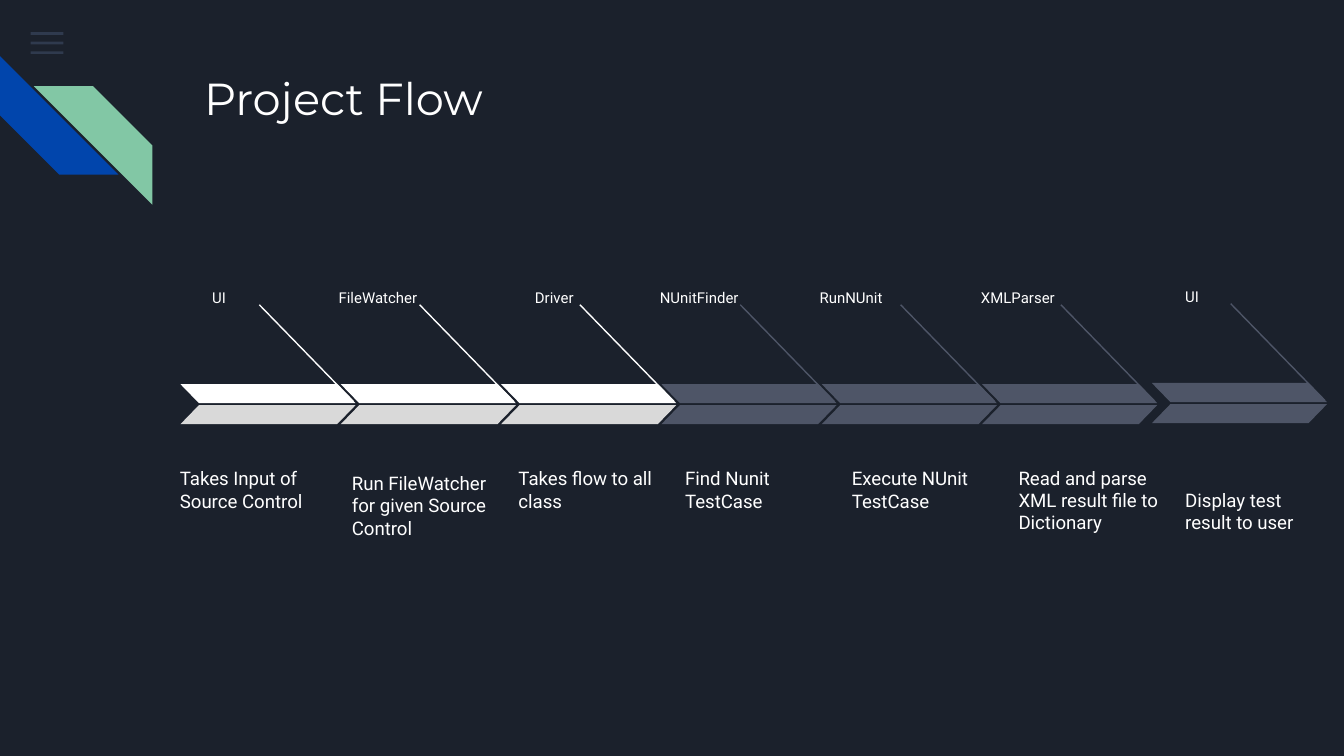
from lxml.etree import SubElement
from pptx import Presentation
from pptx.dml.color import RGBColor
from pptx.enum.shapes import MSO_CONNECTOR, MSO_SHAPE
from pptx.enum.text import MSO_ANCHOR
from pptx.oxml.ns import qn
from pptx.util import Cm, Pt

# Content: label, label left, label width, note, note width, note top, note height
STEPS = [
    ("UI", 3.76, 1.5, "Takes Input of Source Control", 3.25, 8.81, 1.12),
    ("FileWatcher", 6.15, 2.16, "Run FileWatcher for given Source Control", 3.15, 8.81, 1.63),
    ("Driver", 9.86, 1.5, "Takes flow to all class", 3.15, 8.81, 1.12),
    ("NUnitFinder", 12.22, 2.16, "Find Nunit TestCase", 3.15, 8.81, 1.12),
    ("RunNUnit", 15.24, 2.16, "Execute NUnit TestCase", 3.15, 8.81, 1.12),
    ("XMLParser", 18.29, 2.16, "Read and parse XML result file to Dictionary", 3.15, 9.22, 1.12),
    ("UI", 22.15, 1.5, "Display test result to user", 3.15, 9.22, 1.12),
]
WHITE, PALE, SLATE = "FFFFFF", "D9D9D9", "4E5567"
DONE = 3  # steps shown in white
LEFT, PITCH, LAST = 3.41, 3.03, 21.77  # arrow places
WIDE, TALL = 3.31, 0.36  # size of an arrow half

deck = Presentation()
deck.slide_width, deck.slide_height = Cm(25.4), Cm(14.29)
slide = deck.slides.add_slide(deck.slide_layouts[6])


def paint(fill, color):
    fill.solid()
    fill.fore_color.rgb = RGBColor.from_string(color)


def shape(kind, x, y, w, h, color, adj=None, flip=False):
    item = slide.shapes.add_shape(kind, Cm(x), Cm(y), Cm(w), Cm(h))
    item.shadow.inherit = False
    paint(item.fill, color)
    item.line.fill.background()
    if adj is not None:
        item.adjustments[0] = adj
    if flip:
        item._element.spPr.find(qn("a:xfrm")).set("flipH", "1")
    return item


def text(words, x, y, w, h, size, font="Roboto", anchor=MSO_ANCHOR.TOP):
    frame = slide.shapes.add_textbox(Cm(x), Cm(y), Cm(w), Cm(h)).text_frame
    frame.word_wrap = True
    frame.vertical_anchor = anchor
    frame.margin_left = frame.margin_right = Cm(0.25)
    frame.margin_top = frame.margin_bottom = Cm(0.25)
    run = frame.paragraphs[0].add_run()
    run.text = words
    run.font.size, run.font.name = Pt(size), font
    run.font.color.rgb = RGBColor.from_string(WHITE)


def line(x, y, w, h, color):
    item = slide.shapes.add_connector(
        MSO_CONNECTOR.STRAIGHT, Cm(x), Cm(y), Cm(x + w), Cm(y + h))
    item.line.width = Pt(0.75)
    paint(item.line.fill, color)
    SubElement(item._element.spPr, qn("a:effectLst"))


# Background and menu bars
paint(slide.background.fill, "1B212C")
for i in range(3):
    bar = shape(MSO_SHAPE.RECTANGLE, 0.58, 0.61 + 0.18 * i, 0.62, 0.05, "55688B")
    tint = bar._element.spPr.find(qn("a:solidFill"))[0]
    SubElement(tint, qn("a:alpha")).set("val", "36000")

# Corner stripes
blue = shape(MSO_SHAPE.DIAGONAL_STRIPE, 0, 1.06, 2.24, 2.24, "0145AC", 0.5)
blue.rotation = 270
shape(MSO_SHAPE.DIAGONAL_STRIPE, 0.64, 1.63, 2.24, 2.24, "82C7A5", 0.5, True)

# Title
text("Project Flow", 3.61, 1.09, 19.56, 2.54, 24, "Montserrat")

# Steps: label, note, pointer and the two halves of the arrow
edge = 3.15
for i, (label, left, width, note, span, top, high) in enumerate(STEPS):
    last = i == len(STEPS) - 1
    x = LAST if last else LEFT + PITCH * i
    y = 7.24 if last else 7.26
    upper, lower = (WHITE, PALE) if i < DONE else (SLATE, SLATE)
    text(label, left, y - 1.98, width, 0.58, 8)
    text(note, edge, top, span, high, 10, anchor=MSO_ANCHOR.BOTTOM)
    edge += span
    line(x + 1.49, y - 1.5, 1.78, 1.83, upper)
    shape(MSO_SHAPE.PARALLELOGRAM, x, y, WIDE, TALL, upper, 0.97, True)
    shape(MSO_SHAPE.PARALLELOGRAM, x, y + 0.4, WIDE, TALL, lower, 0.97)

deck.save("out.pptx")
